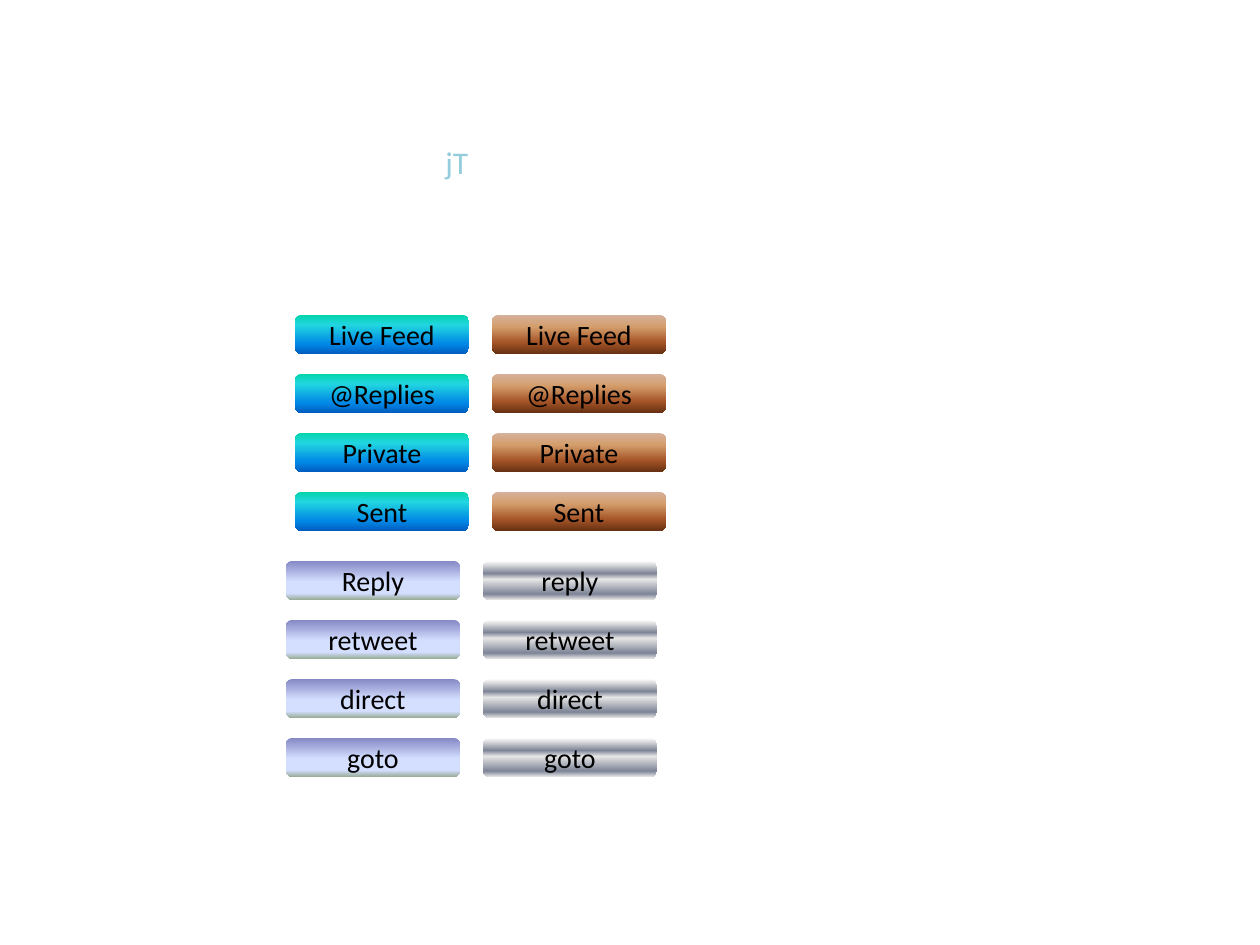
from lxml import etree
from pptx import Presentation
from pptx.dml.color import RGBColor
from pptx.enum.shapes import MSO_SHAPE
from pptx.enum.text import MSO_ANCHOR, MSO_AUTO_SIZE, PP_ALIGN
from pptx.oxml.ns import qn
from pptx.util import Emu, Pt

ROUNDED = MSO_SHAPE.ROUNDED_RECTANGLE
MIDDLE = MSO_ANCHOR.MIDDLE
CENTER = PP_ALIGN.CENTER
FIT_SHAPE = MSO_AUTO_SIZE.SHAPE_TO_FIT_TEXT

THEME = {
    "font": "Calibri",
    "button_size": 16,
    "mark_size": 18,
    "button_text": "000000",
    "mark_text": "93CDDD",
    # Gradient stops: percent from the top, colour
    "ocean": [(0, "03D4A8"), (25, "21D6E0"), (75, "0087E6"), (100, "005CBF")],
    "wood": [(0, "D6B19C"), (30, "D49E6C"), (70, "A65528"), (100, "663012")],
    "fog": [(0, "8488C4"), (53, "D4DEFF"), (83, "D4DEFF"), (100, "96AB94")],
    "chrome": [(0, "FFFFFF"), (7, "E6E6E6"), (32, "7D8496"),
               (47, "E6E6E6"), (85, "7D8496"), (100, "E6E6E6")],
}
PX = 914400 / 126  # EMU in one px


def px(*lengths):
    return [Emu(round(length * PX)) for length in lengths]


def style_text(box, size, color):
    font = box.text_frame.paragraphs[0].runs[0].font
    font.name = THEME["font"]
    font.size = Pt(size)
    font.color.rgb = RGBColor.from_string(color)


deck = Presentation()
deck.slide_width, deck.slide_height = px(1260, 945)
page = deck.slides.add_slide(deck.slide_layouts[6])

# Button columns: left, top, gradient, labels
BUTTON_WIDTH, BUTTON_HEIGHT, ROW_STEP = 174, 39, 59
FEEDS = ["Live Feed", "@Replies", "Private", "Sent"]
ACTIONS = ["retweet", "direct", "goto"]
columns = [
    (295, 315, "ocean", FEEDS),
    (492, 315, "wood", FEEDS),
    (286, 561, "fog", ["Reply"] + ACTIONS),
    (483, 561, "chrome", ["reply"] + ACTIONS),
]
for left, top, gradient, labels in columns:
    for row, label in enumerate(labels):
        button = page.shapes.add_shape(
            ROUNDED, *px(left, top + row * ROW_STEP, BUTTON_WIDTH, BUTTON_HEIGHT))
        button.shadow.inherit = False
        button.line.fill.background()

        # Top-to-bottom gradient with its own list of stops
        button.fill.gradient()
        button.fill.gradient_angle = 270
        stops = button.element.spPr.find(qn("a:gradFill")).find(qn("a:gsLst"))
        for stop in list(stops):
            stops.remove(stop)
        for percent, color in THEME[gradient]:
            stop = etree.SubElement(stops, qn("a:gs"), pos=str(percent * 1000))
            etree.SubElement(stop, qn("a:srgbClr"), val=color)

        # Label
        frame = button.text_frame
        frame.text = label
        frame.vertical_anchor = MIDDLE
        frame.paragraphs[0].alignment = CENTER
        style_text(button, THEME["button_size"], THEME["button_text"])

# Initials mark
mark = page.shapes.add_textbox(*px(433, 137, 53, 51))
mark.text_frame.text = "jT"
mark.text_frame.word_wrap = False
mark.text_frame.auto_size = FIT_SHAPE
style_text(mark, THEME["mark_size"], THEME["mark_text"])

deck.save("out.pptx")
